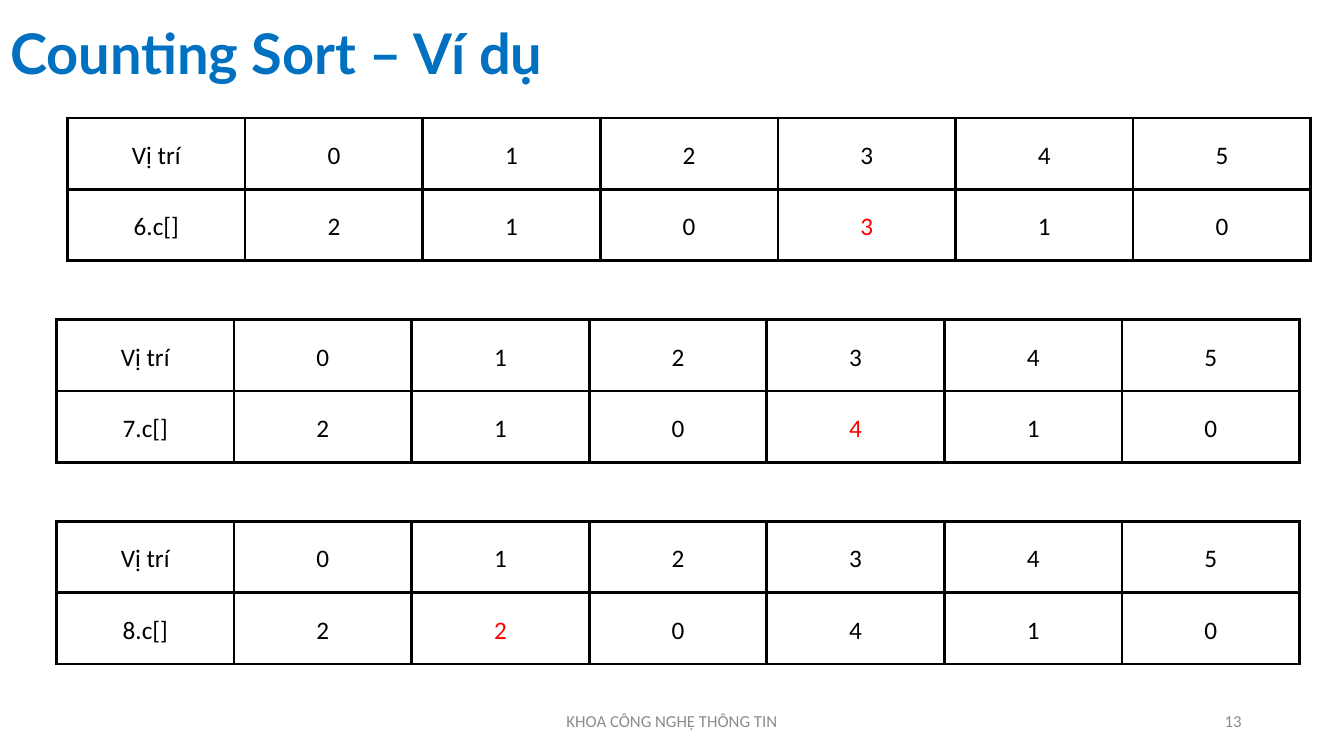
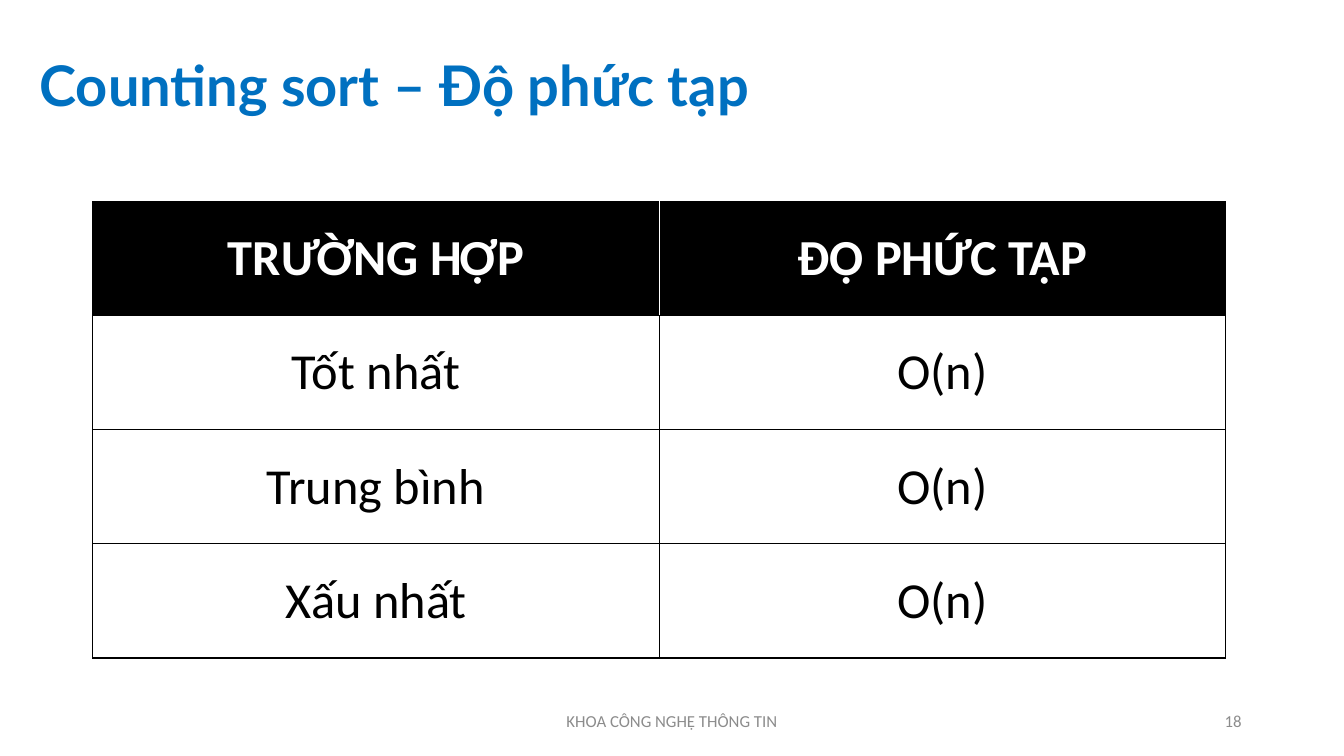
from dataclasses import dataclass

import lxml.etree
import pptx
import pptx.dml.color
import pptx.enum.text
import pptx.oxml.ns
import pptx.util
from pptx.util import Pt

COLORS = {"title": "0070C0", "ink": "000000", "paper": "FFFFFF",
          "changed": "FF0000", "footer": "8C8C8C"}
TITLE_FONT, BODY_FONT = "Lato", "Calibri"
FOOTER_TEXT = "KHOA CÔNG NGHỆ THÔNG TIN"
FOOTER_TOP, FOOTER_HEIGHT = 500.4, 28.8
TITLE_ONLY_LAYOUT = 5
ALIGN = pptx.enum.text.PP_ALIGN
MIDDLE = pptx.enum.text.MSO_ANCHOR.MIDDLE


@dataclass(frozen=True)
class Box:
    left: float
    top: float
    width: float
    height: float

    def lengths(self) -> list[pptx.util.Length]:
        return [Pt(self.left), Pt(self.top), Pt(self.width), Pt(self.height)]


@dataclass(frozen=True)
class TableStyle:
    size: float
    border: float
    margin_side: float
    margin_end: float
    paragraph: dict
    filled_header: bool = False


@dataclass(frozen=True)
class CountStep:
    """One state of the counting array; changed is the index just incremented."""
    number: int
    counts: tuple[int, ...]
    changed: int
    left: float


COUNT_STYLE = TableStyle(18, 2.25, 7.92, 5.76,
                         {"line_spacing": 1.15, "space_after": Pt(15)})
COMPLEXITY_STYLE = TableStyle(36, 1, 7.2, 3.6, {}, filled_header=True)

COUNT_STEPS = [
    CountStep(6, (2, 1, 0, 3, 1, 0), 3, 48.24),
    CountStep(7, (2, 1, 0, 4, 1, 0), 3, 40.32),
    CountStep(8, (2, 2, 0, 4, 1, 0), 1, 40.32),
]
COUNT_TOP, COUNT_STEP, COUNT_WIDTH, COUNT_HEIGHT = 84.24, 144, 888, 102

COMPLEXITY_ROWS = [
    ("TRƯỜNG HỢP", "ĐỘ PHỨC TẠP"),
    ("Tốt nhất", "O(n)"),
    ("Trung bình", "O(n)"),
    ("Xấu nhất", "O(n)"),
]


def set_attributes(target, values: dict) -> None:
    for name, value in values.items():
        setattr(target, name, value)


def rgb(color: str) -> pptx.dml.color.RGBColor:
    return pptx.dml.color.RGBColor.from_string(COLORS[color])


def write_text(frame, text: str, color: str, font: dict, paragraph_format: dict) -> None:
    paragraph = frame.paragraphs[0]
    set_attributes(paragraph, paragraph_format)
    run = paragraph.add_run()
    run.text = text
    set_attributes(run.font, font)
    run.font.color.rgb = rgb(color)


def add_footer_text(slide, text: str, box: Box, alignment) -> None:
    frame = slide.shapes.add_textbox(*box.lengths()).text_frame
    set_attributes(frame, {"word_wrap": True, "vertical_anchor": MIDDLE})
    write_text(frame, text, "footer", {"name": BODY_FONT, "size": Pt(12)},
               {"alignment": alignment})


def add_titled_slide(presentation, title: str, title_box: Box, number: int):
    """Add a slide with the shared title style, footer and page number."""
    slide = presentation.slides.add_slide(presentation.slide_layouts[TITLE_ONLY_LAYOUT])
    shape = slide.shapes.title
    for name, value in zip(("left", "top", "width", "height"), title_box.lengths()):
        setattr(shape, name, value)
    set_attributes(shape.text_frame, {
        "word_wrap": True, "vertical_anchor": MIDDLE,
        "auto_size": pptx.enum.text.MSO_AUTO_SIZE.NONE})
    write_text(shape.text_frame, title, "title",
               {"name": TITLE_FONT, "size": Pt(40), "bold": True},
               {"alignment": ALIGN.LEFT, "line_spacing": 0.9})
    add_footer_text(slide, FOOTER_TEXT,
                    Box(318, FOOTER_TOP, 324, FOOTER_HEIGHT), ALIGN.CENTER)
    add_footer_text(slide, str(number),
                    Box(678, FOOTER_TOP, 216, FOOTER_HEIGHT), ALIGN.RIGHT)
    return slide


def add_borders(cell, width: float, edge_colors: dict[str, str]) -> None:
    properties = cell._tc.get_or_add_tcPr()
    qn = pptx.oxml.ns.qn
    for edge, color in edge_colors.items():
        line = lxml.etree.SubElement(properties, qn(f"a:ln{edge}"), w=str(Pt(width)))
        fill = lxml.etree.SubElement(line, qn("a:solidFill"))
        lxml.etree.SubElement(fill, qn("a:srgbClr"), val=COLORS[color])


def add_grid(slide, rows: list[tuple[str, ...]], box: Box, style: TableStyle,
             highlight: tuple[int, int] | None = None) -> None:
    """Add an evenly divided table; highlight is the (row, column) in red."""
    column_count = len(rows[0])
    table = slide.shapes.add_table(len(rows), column_count, *box.lengths()).table
    set_attributes(table, {"first_row": style.filled_header, "horz_banding": False})
    for column in table.columns:
        column.width = Pt(box.width / column_count)
    for row in table.rows:
        row.height = Pt(box.height / len(rows))

    for row_index, texts in enumerate(rows):
        header = style.filled_header and row_index == 0
        text_color, fill_color = ("paper", "ink") if header else ("ink", "paper")
        for column_index, text in enumerate(texts):
            cell = table.cell(row_index, column_index)
            # Inner vertical lines take the text colour so they show on a dark header.
            add_borders(cell, style.border, {
                "L": text_color if column_index > 0 else "ink",
                "R": text_color if column_index < column_count - 1 else "ink",
                "T": "ink", "B": "ink"})
            cell.fill.solid()
            cell.fill.fore_color.rgb = rgb(fill_color)
            set_attributes(cell, {
                "vertical_anchor": MIDDLE,
                "margin_left": Pt(style.margin_side), "margin_right": Pt(style.margin_side),
                "margin_top": Pt(style.margin_end), "margin_bottom": Pt(style.margin_end)})
            changed = (row_index, column_index) == highlight
            write_text(cell.text_frame, text, "changed" if changed else text_color,
                       {"name": BODY_FONT, "size": Pt(style.size), "bold": header},
                       {"alignment": ALIGN.CENTER, **style.paragraph})


def add_example_slide(presentation) -> None:
    slide = add_titled_slide(presentation, "Counting Sort – Ví dụ", Box(0, 0, 828, 80), 13)
    for index, step in enumerate(COUNT_STEPS):
        rows = [("Vị trí", *map(str, range(len(step.counts)))),
                (f"{step.number}.c[]", *map(str, step.counts))]
        box = Box(step.left, COUNT_TOP + index * COUNT_STEP, COUNT_WIDTH, COUNT_HEIGHT)
        add_grid(slide, rows, box, COUNT_STYLE, highlight=(1, step.changed + 1))


def add_complexity_slide(presentation) -> None:
    slide = add_titled_slide(presentation, "Counting sort – Độ phức tạp",
                             Box(21, 10.8, 828, 104.4), 18)
    add_grid(slide, COMPLEXITY_ROWS, Box(66.24, 144, 809.28, 326), COMPLEXITY_STYLE)


def main() -> None:
    presentation = pptx.Presentation()
    set_attributes(presentation, {"slide_width": Pt(960), "slide_height": Pt(540)})
    add_example_slide(presentation)
    add_complexity_slide(presentation)
    presentation.save("out.pptx")


if __name__ == "__main__":
    main()
